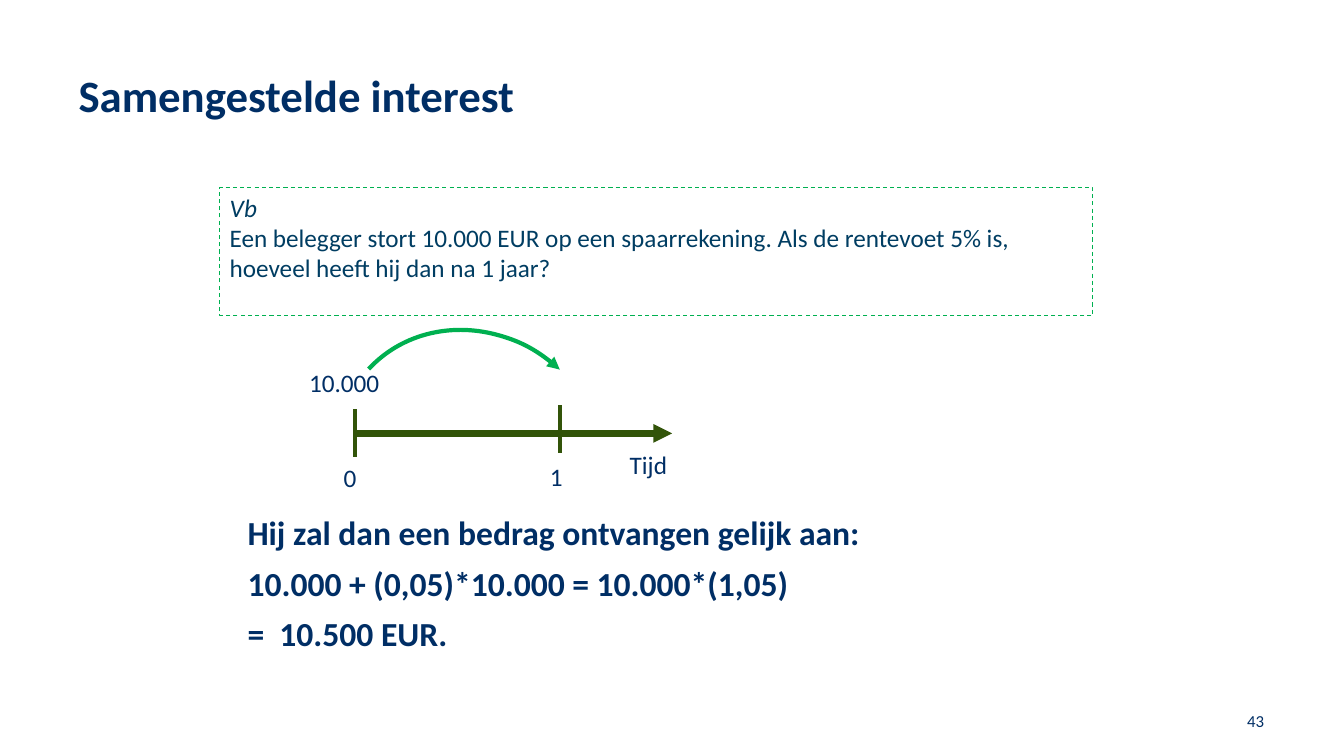
"""Build the slide on compound interest with its timeline."""
from dataclasses import dataclass

from lxml import etree
from pptx import Presentation
from pptx import util as u
from pptx.dml.color import RGBColor
from pptx.enum import dml, shapes, text
from pptx.oxml import ns


@dataclass(frozen=True)
class Theme:
    """Colours, font and type sizes of the slide."""
    font: str = "Calibri"
    navy: str = "002E65"
    teal: str = "003D62"
    green: str = "00B050"
    olive: str = "325409"
    title: int = 32
    body: int = 24
    label: int = 18
    page: int = 12


def write(shape, lines, *, size, color, font, bold=False, first_italic=False,
          align=text.PP_ALIGN.LEFT, anchor=text.MSO_ANCHOR.TOP,
          line_spacing=1.0, gap=0):
    """Fill a shape with one formatted paragraph per line."""
    frame = shape.text_frame
    frame.word_wrap = True
    frame.vertical_anchor = anchor
    for index, line in enumerate(lines):
        paragraph = frame.add_paragraph() if index else frame.paragraphs[0]
        paragraph.alignment = align
        paragraph.line_spacing = line_spacing
        paragraph.space_before = u.Pt(gap if index else 0)
        run = paragraph.add_run()
        run.text = line
        run.font.name = font
        run.font.size = u.Pt(size)
        run.font.bold = bold
        run.font.italic = first_italic and index == 0
        run.font.color.rgb = RGBColor.from_string(color)


class SlideBuilder:
    """Hold the theme and the current slide, and add its elements."""

    def __init__(self, slide, theme):
        """Keep the slide and the theme."""
        self.slide = slide
        self.theme = theme

    def text(self, lines, box, **style):
        """Add a text box."""
        shape = self.slide.shapes.add_textbox(*map(u.Cm, box))
        style = {"color": self.theme.navy, "font": self.theme.font} | style
        write(shape, lines, **style)

    def outline(self, kind, box, color, width):
        """Add an unfilled preset shape."""
        shape = self.slide.shapes.add_shape(kind, *map(u.Cm, box))
        shape.shadow.inherit = False
        shape.fill.background()
        self.stroke(shape, color, width)
        return shape

    def example(self, lines, box):
        """Add the dashed box that states the example."""
        shape = self.outline(shapes.MSO_SHAPE.RECTANGLE, box, self.theme.green, 0)
        shape.line.dash_style = dml.MSO_LINE.DASH
        write(shape, lines, size=self.theme.label, color=self.theme.teal,
              font=self.theme.font, first_italic=True)

    def arc(self, box, rotation):
        """Add a rotated quarter arc with an arrowhead."""
        shape = self.outline(shapes.MSO_SHAPE.ARC, box, self.theme.green, 3)
        shape.rotation = rotation
        self.arrowhead(shape)

    def line(self, start, end, width, arrow=False):
        """Add a straight line of the time axis."""
        connector = self.slide.shapes.add_connector(
            shapes.MSO_CONNECTOR.STRAIGHT, *map(u.Cm, start + end))
        self.stroke(connector, self.theme.olive, width)
        if arrow:
            self.arrowhead(connector)
        etree.SubElement(connector._element.spPr, ns.qn("a:effectLst"))

    @staticmethod
    def stroke(shape, color, width):
        """Set the line colour and width."""
        shape.line.color.rgb = RGBColor.from_string(color)
        shape.line.width = u.Pt(width)

    @staticmethod
    def arrowhead(shape):
        """Put a triangle at the end of a line."""
        line = shape.line._get_or_add_ln()
        etree.SubElement(line, ns.qn("a:tailEnd"), type="triangle")


def main():
    """Build and save the slide."""
    presentation = Presentation()
    presentation.slide_width = u.Cm(33.87)
    presentation.slide_height = u.Cm(19.05)
    theme = Theme()
    slide = presentation.slides.add_slide(presentation.slide_layouts[6])
    builder = SlideBuilder(slide, theme)

    builder.text(["Samengestelde interest"], (1.73, 1.73, 30.38, 2.97),
                 size=theme.title, bold=True, line_spacing=0.9)
    builder.text(["Hij zal dan een bedrag ontvangen gelijk aan:",
                  "10.000 + (0,05)*10.000 = 10.000*(1,05)",
                  "=  10.500 EUR."], (5.99, 12.9, 21.87, 3.68),
                 size=theme.body, bold=True, line_spacing=0.9, gap=10)
    builder.example(["Vb", "Een belegger stort 10.000 EUR op een spaarrekening. "
                     "Als de rentevoet 5% is, hoeveel heeft hij dan na 1 jaar?"],
                    (5.54, 4.72, 22, 3.23))

    axis_start, axis_end, axis_y = 8.94, 16.94, 10.92
    builder.line((axis_start, axis_y), (axis_end, axis_y), 4.5, arrow=True)
    for tick_x, tick_y in ((axis_start, 10.31), (14.12, 10.21)):
        builder.line((tick_x, tick_y), (tick_x, tick_y + 1.2), 3)
    for label, left, top, width in (("0", 8.41, 11.53, 1.04),
                                    ("Tijd", 15.62, 11.2, 1.8),
                                    ("1", 13.61, 11.51, 1.04),
                                    ("10.000", 7.54, 9.12, 3.25)):
        builder.text([label], (left, top, width, 1.02), size=theme.label)
    builder.arc((8.66, 8.15, 6.5, 7.11), 312.6)
    builder.text(["43"], (24.49, 17.65, 7.62, 1.02), size=theme.page,
                 align=text.PP_ALIGN.RIGHT, anchor=text.MSO_ANCHOR.MIDDLE)
    presentation.save("out.pptx")


if __name__ == "__main__":
    main()
